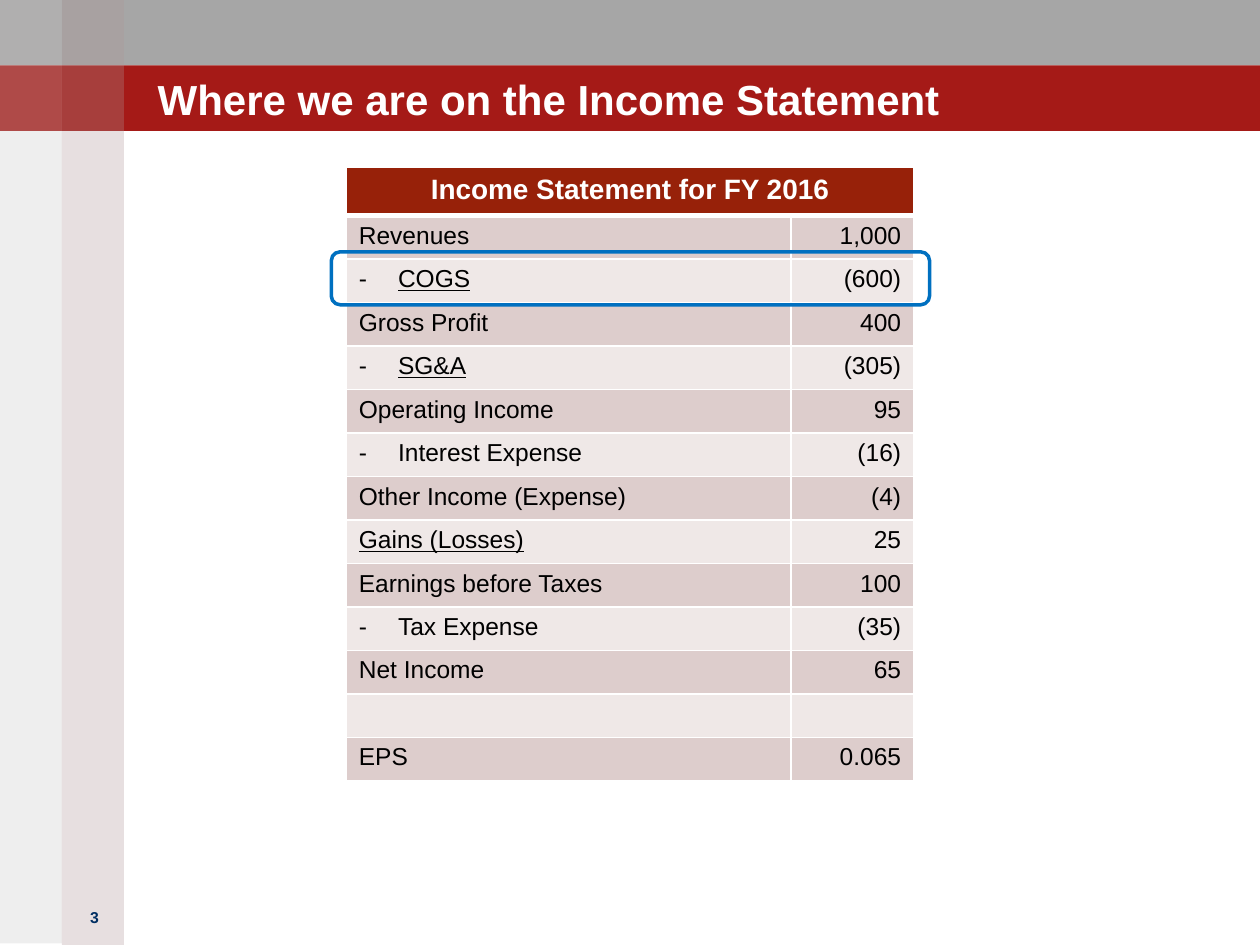
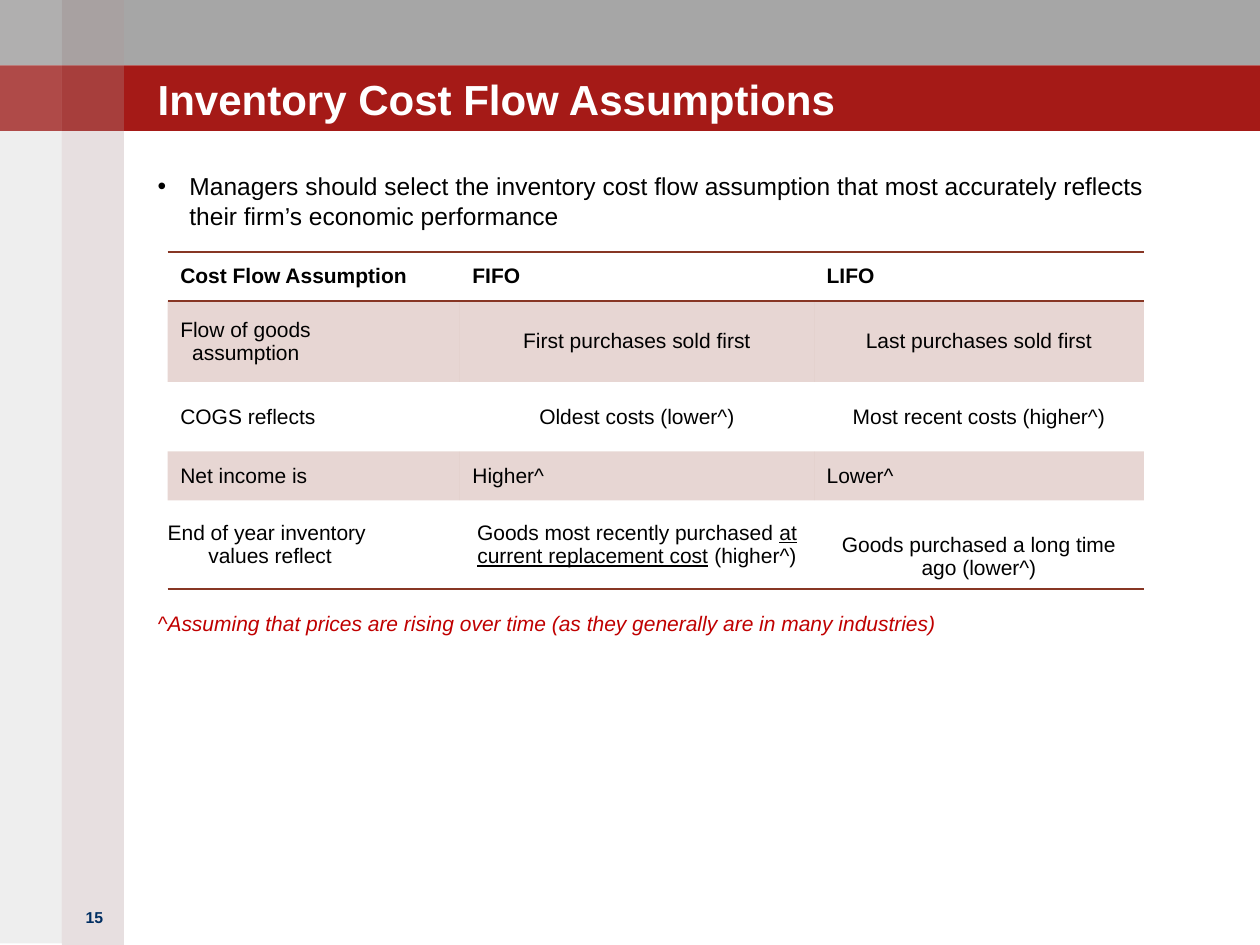
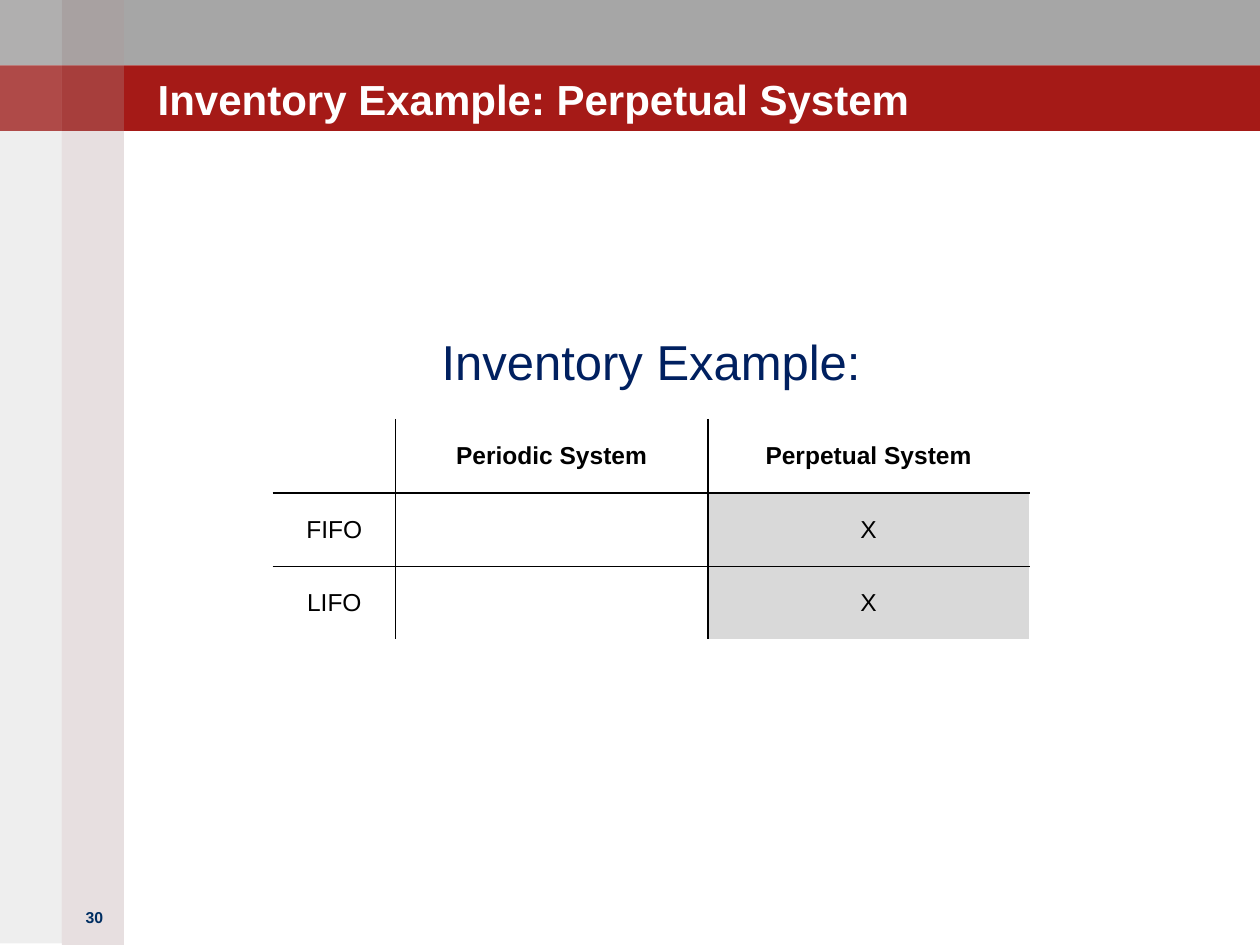
from lxml import etree
from pptx import Presentation
from pptx import util as u
from pptx.dml.color import RGBColor
from pptx.enum import shapes, text
from pptx.oxml.ns import qn

Cm, Pt = u.Cm, u.Pt
LEFT, MID, RIGHT = text.PP_ALIGN.LEFT, text.PP_ALIGN.CENTER, text.PP_ALIGN.RIGHT
TOP, CENTER, BOTTOM = (text.MSO_ANCHOR.TOP, text.MSO_ANCHOR.MIDDLE,
                       text.MSO_ANCHOR.BOTTOM)

WHITE = RGBColor(0xFF, 0xFF, 0xFF)
BLACK = RGBColor(0x00, 0x00, 0x00)
GRAY = RGBColor(0xA6, 0xA6, 0xA6)
RED = RGBColor(0xA5, 0x1A, 0x17)
ROSE = RGBColor(0xA0, 0x82, 0x84)
STONE = RGBColor(0x93, 0x8F, 0x8F)
NAVY = RGBColor(0x00, 0x2E, 0x62)
INK = RGBColor(0x00, 0x20, 0x60)
RUST = RGBColor(0x97, 0x21, 0x09)
DARK = RGBColor(0xDD, 0xCD, 0xCC)
PALE = RGBColor(0xEF, 0xE8, 0xE7)
BROWN = RGBColor(0x87, 0x36, 0x24)
BLUE = RGBColor(0x00, 0x70, 0xC0)
NOTE = RGBColor(0xC0, 0x00, 0x00)
SHADE = RGBColor(0xD9, 0xD9, 0xD9)

FONT = "Arial"
PLAIN = "{2D5ABB26-0587-4C30-8999-92F81FD0307C}"  # table style without grid
WIDE, HIGH = 25.4, 19.05
BAND, STRIPE = 1.32, 1.25
EDGE = 3.18  # left edge of titles and body text
BODY = 19.89


# Text
def write(para, words, size, color=BLACK, bold=False, italic=False,
          align=LEFT, bullet=None, left=0, hang=0):
    """Fill a paragraph; words between underscores are underlined."""
    props = para._p.get_or_add_pPr()
    props.set("marL", str(Cm(left)))
    props.set("indent", str(-Cm(hang)))
    if bullet:
        etree.SubElement(props, qn("a:buFont"), typeface=FONT)
        etree.SubElement(props, qn("a:buChar"), char=bullet)
    for i, part in enumerate(words.split("_")):
        if part:
            run = para.add_run()
            run.text = part
            if i % 2:
                run.font.underline = True
    para.alignment = align
    font = para.font
    font.name, font.size = FONT, Pt(size)
    font.bold, font.italic = bold, italic
    font.color.rgb = color


def label(slide, box, words, size, color, anchor=TOP, inset=0, **style):
    frame = slide.shapes.add_textbox(*map(Cm, box)).text_frame
    frame.word_wrap = True
    frame.vertical_anchor = anchor
    frame.margin_left = frame.margin_right = Cm(2 * inset)
    frame.margin_top = frame.margin_bottom = Cm(inset)
    write(frame.paragraphs[0], words, size, color, **style)


# Fills and borders
def fade(node, alpha):
    color = node.find(".//" + qn("a:srgbClr"))
    etree.SubElement(color, qn("a:alpha"), val=str(alpha * 1000))


def block(slide, box, color, alpha=100):
    shape = slide.shapes.add_shape(shapes.MSO_SHAPE.RECTANGLE, *map(Cm, box))
    shape.shadow.inherit = False
    shape.fill.solid()
    shape.fill.fore_color.rgb = color
    if alpha < 100:
        fade(shape._element.spPr, alpha)
    shape.line.fill.background()


def paint(cell, color, alpha=100):
    if color is None:
        cell.fill.background()
        return
    cell.fill.solid()
    cell.fill.fore_color.rgb = color
    if alpha < 100:
        fade(cell._tc.get_or_add_tcPr(), alpha)


def rule(cell, **sides):
    """Draw cell borders, each given as (colour, points)."""
    props = cell._tc.get_or_add_tcPr()
    for i, side in enumerate(s for s in "LRTB" if s in sides):
        color, width = sides[side]
        line = etree.Element(qn("a:ln" + side), w=str(Pt(width)))
        fill = etree.SubElement(line, qn("a:solidFill"))
        etree.SubElement(fill, qn("a:srgbClr"), val=str(color))
        props.insert(i, line)


def grid(slide, x, y, cols, rows):
    """Add a plain table with the given column widths and row heights."""
    box = x, y, sum(cols), sum(rows)
    frame = slide.shapes.add_table(len(rows), len(cols), *map(Cm, box))
    table = frame.table
    table.first_row = table.horz_banding = False
    table._tbl.tblPr.find(qn("a:tableStyleId")).text = PLAIN
    for col, width in zip(table.columns, cols):
        col.width = Cm(width)
    for row, height in zip(table.rows, rows):
        row.height = Cm(height)
    return table


# Shared frame: bands, stripes, title and page number
def base(deck, title, width, page):
    slide = deck.slides.add_slide(deck.slide_layouts[6])
    block(slide, (0, 0, WIDE, BAND), GRAY)
    block(slide, (0, BAND, WIDE, BAND), RED)
    block(slide, (STRIPE, 0, STRIPE, HIGH), ROSE, 25)
    block(slide, (0, 0, STRIPE, HIGH - 0.03), STONE, 15)
    for top in (0, BAND):
        for left, alpha in ((STRIPE, 5), (0, 15)):
            block(slide, (left, top, STRIPE, BAND), WHITE, alpha)
    label(slide, (1.27, 18.16, 1.27, 1.27), str(page), 9, NAVY,
          inset=0.13, bold=True, align=MID)
    label(slide, (EDGE, 0.79, width, 1.7), title, 24, WHITE, BOTTOM, bold=True)
    return slide


# Income statement with one row ringed
ITEMS = [
    ("Revenues", "1,000"), ("-_COGS_", "(600)"), ("Gross Profit", "400"),
    ("-_SG&A_", "(305)"), ("Operating Income", "95"),
    ("-Interest Expense", "(16)"), ("Other Income (Expense)", "(4)"),
    ("_Gains (Losses)_", "25"), ("Earnings before Taxes", "100"),
    ("-Tax Expense", "(35)"), ("Net Income", "65"), ("", ""),
    ("EPS", "0.065"),
]


def income(slide, x, y, cols, head, high):
    step = (high - head) / len(ITEMS)
    table = grid(slide, x, y, cols, [head] + [step] * len(ITEMS))
    thin = (WHITE, 1)
    table.cell(0, 0).merge(table.cell(0, 1))
    for c in range(2):
        cell = table.cell(0, c)
        paint(cell, RUST)
        rule(cell, L=thin, R=thin, T=thin, B=(WHITE, 3))
        write(cell.text_frame.paragraphs[0],
              "" if c else "Income Statement for FY 2016",
              16, WHITE, bold=True, align=MID)
    table.cell(0, 1).margin_top = table.cell(0, 1).margin_bottom = 0
    for r, item in enumerate(ITEMS, 1):
        for c, words in enumerate(item):
            cell = table.cell(r, c)
            paint(cell, DARK if r % 2 else PALE)
            rule(cell, L=thin, R=thin, T=(WHITE, 3) if r == 1 else thin, B=thin)
            if not words:
                cell.margin_top = cell.margin_bottom = 0
            style = {"align": RIGHT} if c else {}
            if words.startswith("-"):
                words = words[1:]
                style = {"bullet": "-", "left": 0.79, "hang": 0.79}
            write(cell.text_frame.paragraphs[0], words, 14, **style)
    # Ring around the second item
    box = x - 0.3, y + head + step - 0.15, sum(cols) + 0.62, step + 0.19
    ring = slide.shapes.add_shape(shapes.MSO_SHAPE.ROUNDED_RECTANGLE,
                                  *map(Cm, box))
    ring.shadow.inherit = False
    ring.fill.background()
    ring.line.color.rgb = BLUE
    ring.line.width = Pt(2)


# Comparison of the cost flow methods
FLOWS = [
    ("Cost Flow Assumption", "FIFO", "LIFO"),
    ("Flow of goods\nassumption", "First purchases sold first",
     "Last purchases sold first"),
    ("COGS reflects", "Oldest costs (lower^)", "Most recent costs (higher^)"),
    ("Net income is", "Higher^", "Lower^"),
    ("End of year inventory\nvalues reflect",
     "Goods most recently purchased _at current replacement cost_ (higher^)",
     "Goods purchased a long time ago (lower^)"),
]


def flows(slide, x, y, cols, rows):
    table = grid(slide, x, y, cols, rows)
    last = len(FLOWS) - 1
    line = (BROWN, 1)
    for r, row in enumerate(FLOWS):
        for c, words in enumerate(row):
            cell = table.cell(r, c)
            cell.vertical_anchor = CENTER
            paint(cell, BROWN if r % 2 else None, 20)
            if r == 0:
                rule(cell, T=line, B=line)
            elif r == last:
                rule(cell, B=line)
            frame = cell.text_frame
            align = MID if c and r in (1, 2, last) else LEFT
            for i, part in enumerate(words.split("\n")):
                para = frame.add_paragraph() if i else frame.paragraphs[0]
                left = (0.82 if r == last else 0.24) if i else 0
                write(para, part, 12, bold=r == 0, align=align, left=left)
    first, low = table.cell(last, 0), table.cell(last, 2)
    first.margin_left = first.margin_right = 0
    first.margin_top = first.margin_bottom = 0
    low.margin_top = Cm(0.61)


# Matrix of methods and systems
CASES = [("", "Periodic System", "Perpetual System"),
         ("FIFO", "", "X"), ("LIFO", "", "X")]


def matrix(slide, x, y, cols, step):
    table = grid(slide, x, y, cols, [step] * len(CASES))
    for r, row in enumerate(CASES):
        for c, words in enumerate(row):
            cell = table.cell(r, c)
            cell.vertical_anchor = CENTER
            inner = r > 0 and c > 0
            paint(cell, (SHADE if words else WHITE) if inner else None)
            sides = {"L": c > 0, "R": c < 2, "T": r > 0, "B": r < 2}
            rule(cell, **{s: (BLACK if on else WHITE, 1)
                          for s, on in sides.items()})
            write(cell.text_frame.paragraphs[0], words, 14,
                  bold=r == 0, align=MID)


def main():
    deck = Presentation()
    deck.slide_width, deck.slide_height = Cm(WIDE), Cm(HIGH)

    slide = base(deck, "Where we are on the Income Statement", 16.61, 3)
    income(slide, 6.98, 3.38, (8.97, 2.47), 0.97, 12.37)

    slide = base(deck, "Inventory Cost Flow Assumptions", 21.39, 15)
    label(slide, (EDGE, 3.45, BODY, 1.3),
          "Managers should select the inventory cost flow assumption that "
          "most accurately reflects their firm’s economic performance",
          14, BLACK, bullet="•", left=0.64, hang=0.64)
    flows(slide, 3.38, 5.08, (5.89, 7.14, 6.65), (0.99, 1.63, 1.4, 0.99, 1.78))
    label(slide, (EDGE, 12.3, BODY, 0.6),
          "^Assuming that prices are rising over time "
          "(as they generally are in many industries)", 12, NOTE, italic=True)

    slide = base(deck, "Inventory Example: Perpetual System", 20.96, 30)
    label(slide, (EDGE, 6.68, BODY, 1.3), "Inventory Example:", 28, INK,
          align=MID)
    matrix(slide, 5.51, 8.46, (2.46, 6.3, 6.48), 1.48)

    deck.save("out.pptx")


if __name__ == "__main__":
    main()
